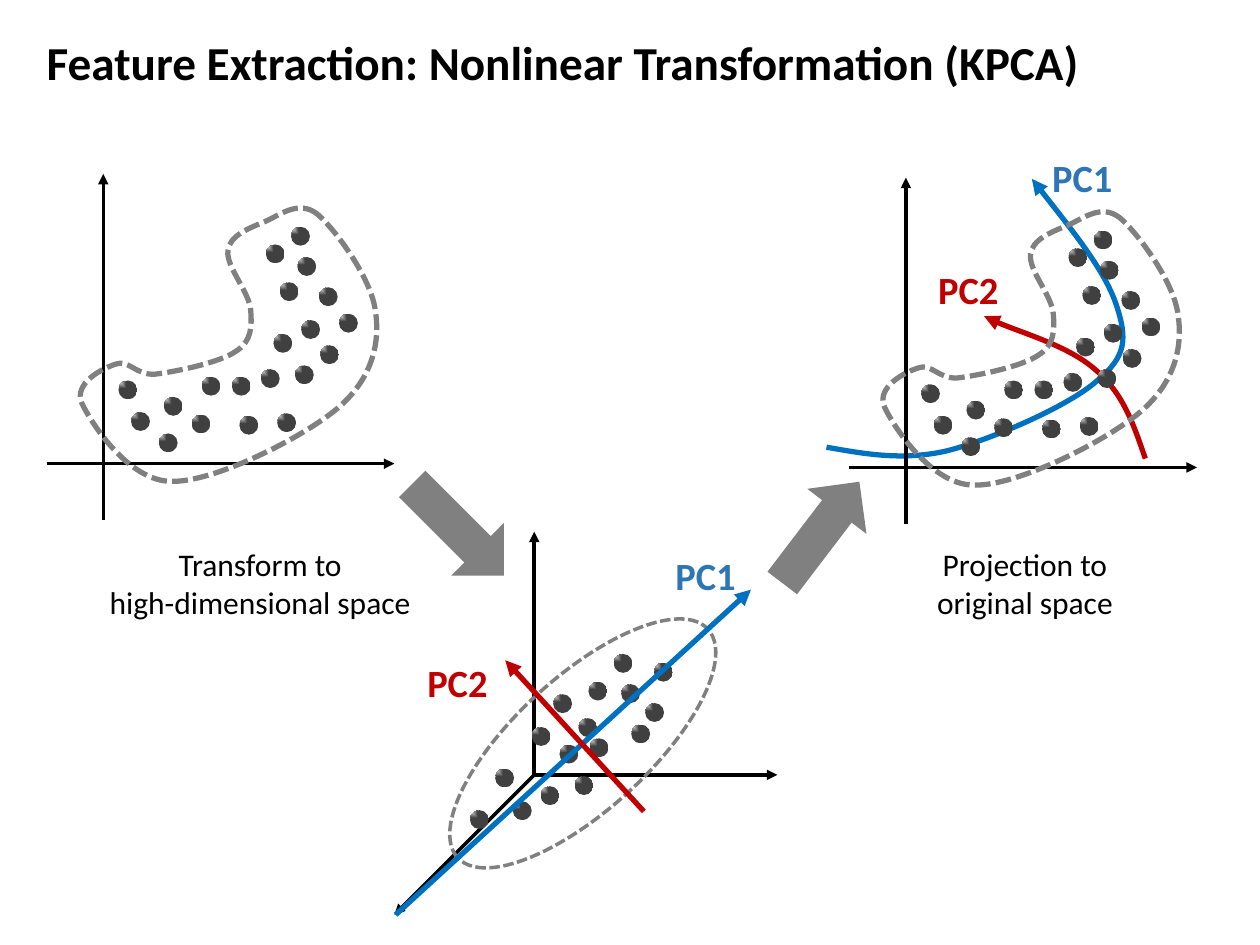
from dataclasses import dataclass

from lxml import etree
from pptx import Presentation
from pptx.dml.color import RGBColor
from pptx.enum import dml, shapes, text
from pptx.oxml import ns
from pptx.util import Inches, Pt

FONT = "Calibri"
DOT = 0.15
HUES = {"ink": "000000", "gray": "808080", "dot": "404040", "shine": "FFFFFF",
        "blue": "0070C0", "red": "C00000", "label": "2E75B6"}


@dataclass
class Line:
    """A straight line from one point to another."""
    start: tuple
    end: tuple
    hue: str = "ink"
    width: float = 2


@dataclass
class Curve:
    """A chain of cubic segments: (control, control, anchor)."""
    start: tuple
    segs: list
    hue: str
    closed: bool = False


@dataclass
class Label:
    """A centred text box."""
    words: str
    box: tuple
    hue: str = "ink"
    size: float = 18
    bold: bool = False
    wrap: bool = True


@dataclass
class Block:
    """A turned block arrow."""
    box: tuple
    turn: float


def rgb(hue: str) -> RGBColor:
    """Look up a colour."""
    return RGBColor.from_string(HUES[hue])


def sub(node, tag: str, **attrs):
    """Append a drawing element."""
    return etree.SubElement(node, ns.qn(tag), attrs)


def stroke(item, hue: str, width: float, dash=False, head=False) -> None:
    """Style a line, with dashes or an arrowhead if asked."""
    item.line.color.rgb = rgb(hue)
    item.line.width = Pt(width)
    if dash:
        item.line.dash_style = dml.MSO_LINE.SQUARE_DOT
    if head:
        sub(item.element.spPr.find(ns.qn("a:ln")), "a:tailEnd", type="triangle")


def write(para, words: str, size: float, hue: str, bold: bool) -> None:
    """Add runs to a paragraph, one for each line."""
    for i, part in enumerate(words.split("\n")):
        if i:
            para.add_line_break()
        run = para.add_run()
        run.text = part
        run.font.name, run.font.size, run.font.bold = FONT, Pt(size), bold
        run.font.color.rgb = rgb(hue)


def add_line(tree, line: Line) -> None:
    """Draw a straight arrow."""
    ends = [Inches(v) for v in (*line.start, *line.end)]
    item = tree.add_connector(shapes.MSO_CONNECTOR.STRAIGHT, *ends)
    stroke(item, line.hue, line.width, head=True)
    sub(item.element.spPr, "a:effectLst")


def add_curve(tree, curve: Curve, dx=0.0, dy=0.0) -> None:
    """Draw a smooth outline or a curved arrow."""
    def spot(point):
        return Inches(point[0] + dx), Inches(point[1] + dy)

    pen = tree.build_freeform(*spot(curve.start))
    pen.add_line_segments([spot(seg[-1]) for seg in curve.segs], close=curve.closed)
    item = pen.convert_to_shape()
    item.shadow.inherit = False
    item.fill.background()
    steps = list(item.element.iter(ns.qn("a:lnTo")))
    for step, seg in zip(steps, curve.segs):
        bend = etree.Element(ns.qn("a:cubicBezTo"))
        for x, y in map(spot, seg):
            sub(bend, "a:pt", x=str(x - item.left), y=str(y - item.top))
        step.getparent().replace(step, bend)
    stroke(item, curve.hue, 3, dash=curve.closed, head=not curve.closed)


def add_shape(tree, kind, box: tuple, turn=0.0):
    """Place a preset shape without shadow."""
    item = tree.add_shape(kind, *map(Inches, box))
    item.shadow.inherit = False
    item.rotation = turn
    return item


def add_dots(tree, dots: list, dx=0.0, dy=0.0) -> None:
    """Draw shaded balls."""
    for x, y in dots:
        ball = add_shape(tree, shapes.MSO_SHAPE.OVAL, (x + dx, y + dy, DOT, DOT))
        ball.line.fill.background()
        ball.fill.gradient()
        for stop, hue, place in zip(ball.fill.gradient_stops, ("shine", "dot"), (0, 0.83)):
            stop.color.rgb = rgb(hue)
            stop.position = place
        grad = ball.element.spPr.find(ns.qn("a:gradFill"))
        grad.remove(grad.find(ns.qn("a:lin")))
        sub(sub(grad, "a:path", path="rect"), "a:fillToRect", r="100000", b="100000")


def add_label(tree, label: Label) -> None:
    """Write a centred label."""
    frame = tree.add_textbox(*map(Inches, label.box)).text_frame
    frame.word_wrap = label.wrap
    frame.auto_size = text.MSO_AUTO_SIZE.SHAPE_TO_FIT_TEXT
    para = frame.paragraphs[0]
    para.alignment = text.PP_ALIGN.CENTER
    write(para, label.words, label.size, label.hue, label.bold)


def add_cloud(tree, dx=0.0, dy=0.0) -> None:
    """Draw the axes, dots and outline of the bent cloud."""
    for x1, y1, x2, y2 in ((0.82, 4.13, 0.82, 1.38), (0.37, 3.68, 3.13, 3.68)):
        add_line(tree, Line((x1 + dx, y1 + dy), (x2 + dx, y2 + dy)))
    add_dots(tree, BENT, dx, dy)
    add_curve(tree, RIM, dx, dy)


BENT = [(1.52, 3.29), (1.6, 2.99), (0.94, 3.02), (1.3, 3.15), (1.04, 3.27), (1.26, 3.44),
        (2.07, 2.93), (1.9, 3.3), (2.2, 3.28), (1.84, 2.99), (2.34, 2.9), (2.39, 2.54),
        (2.54, 2.74), (2.69, 2.49), (2.17, 2.65), (2.22, 2.24), (2.53, 2.28),
        (2.36, 2.04), (2.11, 1.94), (2.31, 1.8)]
OVAL = [(3.73, 6.43), (3.93, 6.1), (4.29, 6.24), (4.22, 5.77), (4.44, 5.91), (4.68, 5.86),
        (4.59, 5.7), (4.39, 5.51), (4.93, 5.43), (4.07, 6.36), (4.56, 6.16), (4.67, 5.41),
        (5.01, 5.75), (5.12, 5.58), (4.87, 5.19), (5.19, 5.26)]
RIM = Curve((2.52, 1.7), [
    ((2.37, 1.58), (2.22, 1.71), (2.1, 1.76)), ((1.98, 1.81), (1.82, 1.87), (1.81, 1.99)),
    ((1.79, 2.11), (1.98, 2.32), (1.99, 2.46)), ((2, 2.59), (2, 2.71), (1.87, 2.79)),
    ((1.74, 2.88), (1.39, 2.95), (1.23, 2.97)), ((1.08, 2.98), (1.02, 2.85), (0.92, 2.89)),
    ((0.82, 2.92), (0.58, 3.04), (0.65, 3.2)), ((0.72, 3.35), (1.02, 3.82), (1.36, 3.82)),
    ((1.7, 3.83), (2.41, 3.47), (2.68, 3.24)), ((2.95, 3.01), (3.02, 2.73), (2.98, 2.47)),
    ((2.95, 2.21), (2.66, 1.82), (2.52, 1.7))], "gray", True)
BENDS = [
    Curve((6.56, 3.55), [
        ((6.85, 3.6), (7.15, 3.66), (7.51, 3.58)), ((7.87, 3.49), (8.49, 3.22), (8.71, 3.02)),
        ((8.94, 2.83), (8.95, 2.69), (8.86, 2.42)),
        ((8.77, 2.15), (8.48, 1.79), (8.19, 1.42))], "blue"),
    Curve((9.09, 3.64), [
        ((9, 3.38), (8.92, 3.13), (8.7, 2.94)), ((8.49, 2.75), (7.97, 2.6), (7.81, 2.51))], "red"),
]
HUB = (4.24, 6.15)
AXES = [Line(HUB, end) for end in ((4.24, 4.22), (6.17, 6.15), (3.13, 7.26))]
PARTS = [Line((3.14, 7.26), (5.96, 4.68), "blue", 3), Line((5.11, 6.44), (4.01, 5.24), "red", 3)]
BLOCKS = [Block((3.12, 3.91, 1.03, 0.59), 45), Block((6.01, 3.93, 1.01, 0.59), 307.3)]
NOTES = [Label("Transform to\nhigh-dimensional space", (0.66, 4.28, 2.81, 0.71)),
         Label("Projection to\noriginal space", (6.73, 4.28, 2.81, 0.71))]
MID = [Label("PC1", (5.11, 4.33, 0.98, 0.47), "label", 22, True),
       Label("PC2", (3.14, 5.18, 0.98, 0.47), "red", 22, True)]
END = [Label("PC2", (7.34, 2.06, 0.69, 0.47), "red", 22, True, False),
       Label("PC1", (8.1, 1.17, 0.98, 0.47), "label", 22, True)]

deck = Presentation()
deck.slide_width, deck.slide_height = Inches(10), Inches(7.5)
slide = deck.slides.add_slide(deck.slide_layouts[5])
top = slide.shapes

title = top.title
title.left, title.top, title.width, title.height = map(Inches, (0.27, 0.27, 8.62, 0.5))
title.text_frame.vertical_anchor = text.MSO_ANCHOR.MIDDLE
head = title.text_frame.paragraphs[0]
head.alignment = text.PP_ALIGN.LEFT
head.line_spacing = 0.9
write(head, "Feature Extraction: Nonlinear Transformation (KPCA)", 27, "ink", True)

add_cloud(top.add_group_shape().shapes)
for block in BLOCKS:
    arrow = add_shape(top, shapes.MSO_SHAPE.RIGHT_ARROW, block.box, block.turn)
    arrow.fill.solid()
    arrow.fill.fore_color.rgb = rgb("gray")
    arrow.line.fill.background()
for note in NOTES:
    add_label(top, note)

space = top.add_group_shape().shapes
for axis in AXES:
    add_line(space, axis)
add_dots(space, OVAL)
ring = add_shape(space, shapes.MSO_SHAPE.OVAL, (3.28, 5.37, 2.69, 1.06), 317.6)
ring.fill.background()
stroke(ring, "gray", 2, dash=True)
for part in PARTS:
    add_line(space, part)
for label in MID:
    add_label(space, label)

back = top.add_group_shape().shapes
for bend in BENDS:
    add_curve(back, bend)
add_cloud(back, 6.37, 0.03)
for label in END:
    add_label(back, label)

deck.save("out.pptx")
